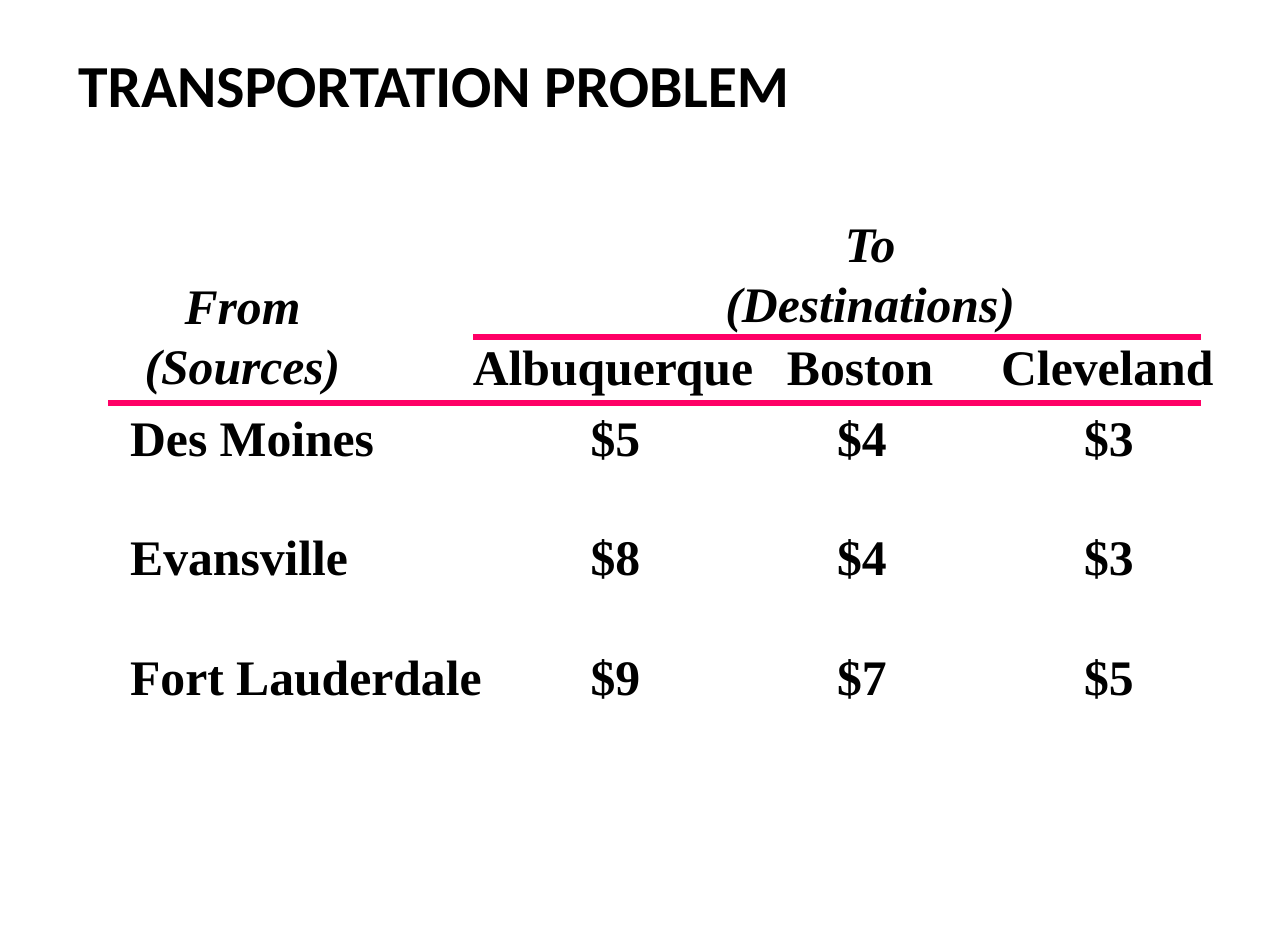
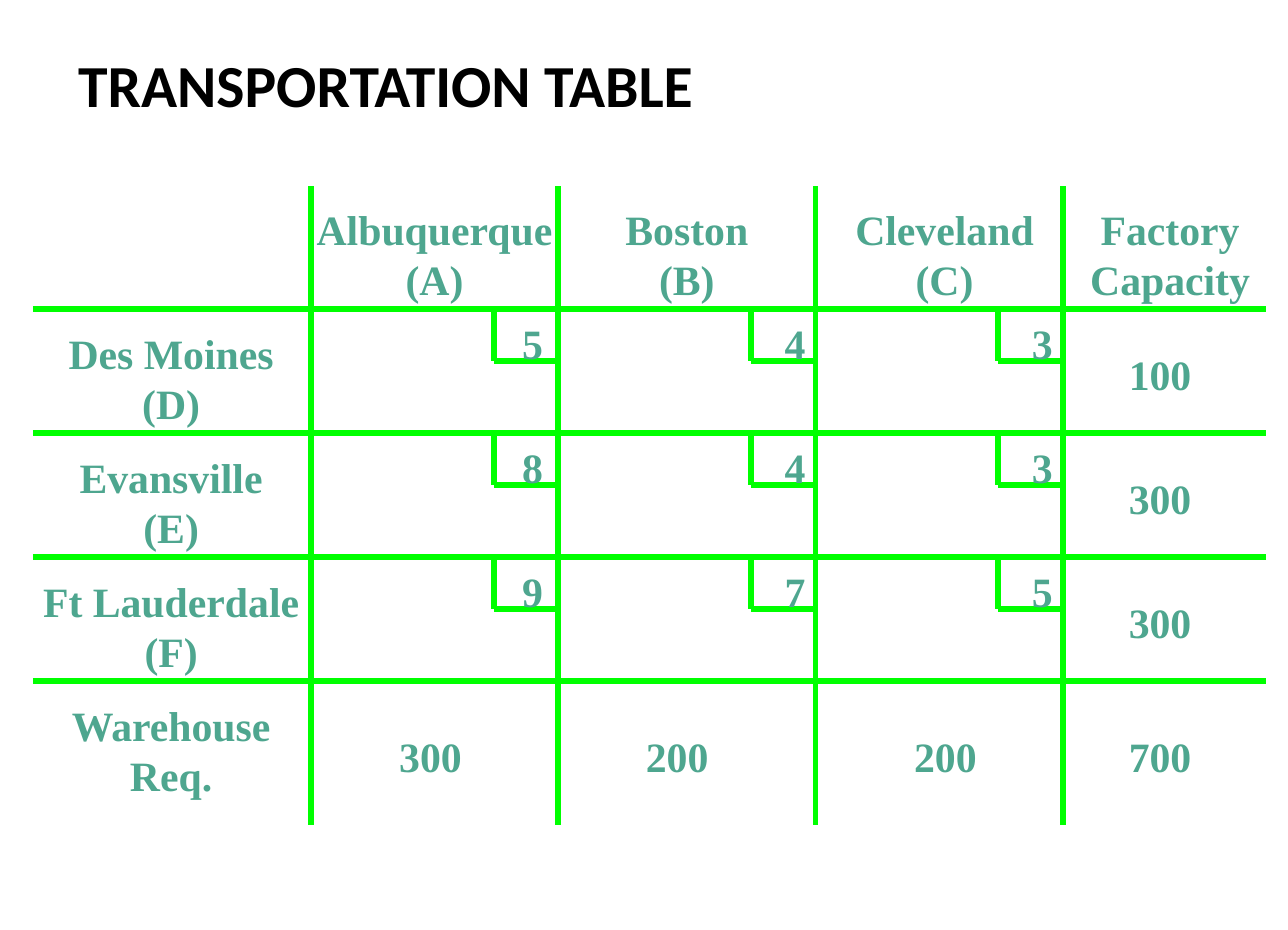
"""Build two slides: a transportation problem and its transportation table."""

from dataclasses import dataclass, field
from typing import Any

from lxml.etree import SubElement
from pptx import Presentation
from pptx.dml.color import RGBColor
from pptx.enum.shapes import MSO_CONNECTOR as Connector
from pptx.enum.text import MSO_AUTO_SIZE as AutoSize, PP_ALIGN as Align
from pptx.oxml.ns import qn
from pptx.util import Pt


@dataclass(frozen=True)
class Theme:
    black: RGBColor = RGBColor.from_string("000000")
    pink: RGBColor = RGBColor.from_string("FF0066")
    green: RGBColor = RGBColor.from_string("00FF00")
    teal: RGBColor = RGBColor.from_string("4EA68F")
    title_font: str = "Calibri"
    body_font: str = "Times New Roman"
    title_size: float = 30
    problem_size: float = 25
    table_size: float = 21
    line_factor: float = 1.2
    rule_width: float = 3


THEME = Theme()


@dataclass(frozen=True)
class Style:
    size: float
    color: RGBColor
    italic: bool = False
    align: Any = Align.CENTER
    gap: float = 0
    inset_x: float = 7.2
    inset_y: float = 3.6

    @property
    def pitch(self) -> float:
        return self.size * THEME.line_factor


@dataclass(frozen=True)
class Label:
    lines: tuple[str, ...]
    center: float
    top: float
    width: float
    style: Style


@dataclass(frozen=True)
class Rule:
    start: tuple[float, float]
    end: tuple[float, float]
    color: RGBColor


@dataclass(frozen=True)
class Column:
    lines: tuple[str, str]
    width: float
    center: float
    total: str
    total_center: float
    prices: tuple[str, ...] = field(default=())
    price_center: float = 0


CITY = Style(THEME.problem_size, THEME.black)
AXIS = Style(THEME.problem_size, THEME.black, italic=True, inset_x=6.4, inset_y=3)
COST = Style(THEME.problem_size, THEME.black, align=Align.LEFT, gap=30, inset_x=6.4, inset_y=3)
CELL = Style(THEME.table_size, THEME.teal)

TITLE_LEFT, TITLE_TOP, TITLE_HEIGHT = 32.2, 20.6, 49

PROBLEM_LABELS = (
    Label(("From", "(Sources)"), 122, 135.4, 112, AXIS),
    Label(("To", "(Destinations)"), 437.8, 104.1, 159.4, AXIS),
    Label(("Albuquerque",), 308.4, 165.6, 155.9, CITY),
    Label(("Boston",), 432.7, 165.6, 87.8, CITY),
    Label(("Cleveland",), 557.1, 165.6, 121, CITY),
    Label(("Des Moines", "Evansville", "Fort Lauderdale"), 154.5, 201.8, 190.8, COST),
    Label(("$5", "$8", "$9"), 309.9, 201.8, 38.4, COST),
    Label(("$4", "$4", "$7"), 433.9, 201.8, 38.4, COST),
    Label(("$3", "$3", "$5"), 558.2, 201.8, 38.4, COST),
)
PROBLEM_RULES = (
    Rule((238, 169.5), (604.3, 169.5), THEME.pink),
    Rule((54.5, 203), (604.3, 203), THEME.pink),
)

SOURCES = (
    (("Des Moines", "(D)"), 117.4),
    (("Evansville", "(E)"), 106.6),
    (("Ft Lauderdale", "(F)"), 143.3),
    (("Warehouse", "Req."), 115.9),
)
DESTINATIONS = (
    Column(("Albuquerque", "(A)"), 133.2, 218.6, "300", 216.6, ("5", "8", "9"), 267.9),
    Column(("Boston", "(B)"), 76.3, 345.6, "200", 340.7, ("4", "4", "7"), 400.1),
    Column(("Cleveland", "(C)"), 104.4, 475.2, "200", 475.7, ("3", "3", "5"), 524.4),
)
CAPACITY = Column(("Factory", "Capacity"), 95, 588.7, "700", 583.7)
CAPACITIES = ("100", "300", "300")

GRID_LEFT, GRID_RIGHT, GRID_TOP, GRID_BOTTOM = 16.6, 636.8, 93.6, 415.4
GRID_COLUMNS = (156.5, 280.7, 410.3, 534.6)
FIRST_ROW, ROW_PITCH = 155.5, 62.4
GRID_ROWS = tuple(FIRST_ROW + ROW_PITCH * index for index in range(4))
HEADER_ROW = FIRST_ROW - ROW_PITCH
NOTCH_WIDTH, NOTCH_DEPTH = 32.3, 26
SOURCE_CENTER, NAME_DROP = 86.1, 5.8
NUMBER_WIDTH, CAPACITY_DROP, TOTAL_TOP = 46.1, 16.4, 364.3
PRICE_WIDTH, PRICE_DROP = 24.9, 0.7


def apply(target: Any, values: dict[str, Any]) -> None:
    """Set each named attribute on the target."""
    for name, value in values.items():
        setattr(target, name, value)


def write_span(para: Any, text: str, font: str, size: float, color: RGBColor, italic: bool = False) -> None:
    """Add one bold run to a paragraph."""
    span = para.add_run()
    span.text = text
    apply(span.font, {"name": font, "size": Pt(size), "bold": True, "italic": italic})
    span.font.color.rgb = color


def draw_title(page: Any, text: str, width: float) -> None:
    """Draw the heading of a slide."""
    box = page.shapes.add_textbox(Pt(TITLE_LEFT), Pt(TITLE_TOP), Pt(width), Pt(TITLE_HEIGHT))
    box.text_frame.word_wrap = True
    write_span(box.text_frame.paragraphs[0], text, THEME.title_font, THEME.title_size, THEME.black)


def draw_label(page: Any, label: Label) -> None:
    """Draw a text box centred on its column, one paragraph a line."""
    style = label.style
    count = len(label.lines)
    height = count * style.pitch + (count - 1) * style.gap + 2 * style.inset_y
    box = page.shapes.add_textbox(
        Pt(label.center - label.width / 2), Pt(label.top), Pt(label.width), Pt(height)
    )
    frame = box.text_frame
    apply(frame, {
        "word_wrap": False,
        "auto_size": AutoSize.SHAPE_TO_FIT_TEXT,
        "margin_left": Pt(style.inset_x),
        "margin_right": Pt(style.inset_x),
        "margin_top": Pt(style.inset_y),
        "margin_bottom": Pt(style.inset_y),
    })
    for index, text in enumerate(label.lines):
        para = frame.add_paragraph() if index else frame.paragraphs[0]
        apply(para, {"alignment": style.align, "line_spacing": Pt(style.pitch)})
        if index and style.gap:
            para.space_before = Pt(style.gap)
        write_span(para, text, THEME.body_font, style.size, style.color, style.italic)


def draw_rule(page: Any, rule: Rule) -> None:
    """Draw a straight line without a shadow."""
    line = page.shapes.add_connector(Connector.STRAIGHT, *map(Pt, rule.start + rule.end))
    line.line.color.rgb = rule.color
    line.line.width = Pt(THEME.rule_width)
    SubElement(line._element.spPr, qn("a:effectLst"))


def grid_rules() -> list[Rule]:
    """Return the table grid and the notch of every price cell."""
    rules = [Rule((GRID_LEFT, y), (GRID_RIGHT, y), THEME.green) for y in GRID_ROWS]
    rules += [Rule((x, GRID_TOP), (x, GRID_BOTTOM), THEME.green) for x in GRID_COLUMNS]
    for right in GRID_COLUMNS[1:]:
        for top in GRID_ROWS[:-1]:
            left, bottom = right - NOTCH_WIDTH, top + NOTCH_DEPTH
            rules.append(Rule((left, top), (left, bottom), THEME.green))
            rules.append(Rule((left, bottom), (right, bottom), THEME.green))
    return rules


def table_labels() -> list[Label]:
    """Return the names, totals, capacities and prices of the table."""
    labels = [
        Label(lines, SOURCE_CENTER, row + NAME_DROP, width, CELL)
        for (lines, width), row in zip(SOURCES, GRID_ROWS)
    ]
    for column in (*DESTINATIONS, CAPACITY):
        labels.append(Label(column.lines, column.center, HEADER_ROW + NAME_DROP, column.width, CELL))
        labels.append(Label((column.total,), column.total_center, TOTAL_TOP, NUMBER_WIDTH, CELL))
        labels += [
            Label((price,), column.price_center, row + PRICE_DROP, PRICE_WIDTH, CELL)
            for price, row in zip(column.prices, GRID_ROWS)
        ]
    labels += [
        Label((amount,), CAPACITY.total_center, row + CAPACITY_DROP, NUMBER_WIDTH, CELL)
        for amount, row in zip(CAPACITIES, GRID_ROWS)
    ]
    return labels


def build_page(deck: Any, title: str, title_width: float, rules: Any, labels: Any) -> None:
    """Add a blank slide and draw its title, rules and labels."""
    page = deck.slides.add_slide(deck.slide_layouts[6])
    for rule in rules:
        draw_rule(page, rule)
    for label in labels:
        draw_label(page, label)
    draw_title(page, title, title_width)


def main() -> None:
    """Build and save the deck."""
    deck = Presentation()
    apply(deck, {"slide_width": Pt(648), "slide_height": Pt(468)})
    build_page(deck, "TRANSPORTATION PROBLEM", 529.2, PROBLEM_RULES, PROBLEM_LABELS)
    build_page(deck, "TRANSPORTATION TABLE", 596.2, grid_rules(), table_labels())
    deck.save("out.pptx")


if __name__ == "__main__":
    main()
